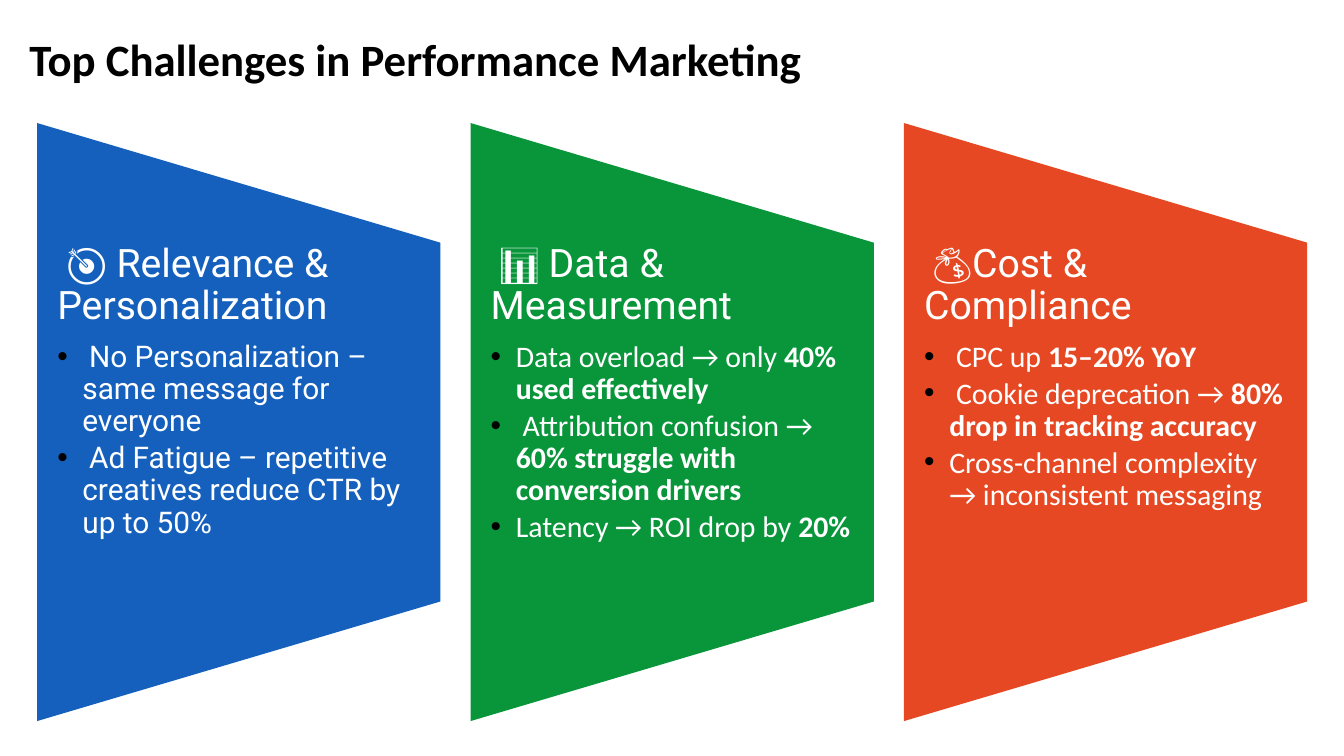
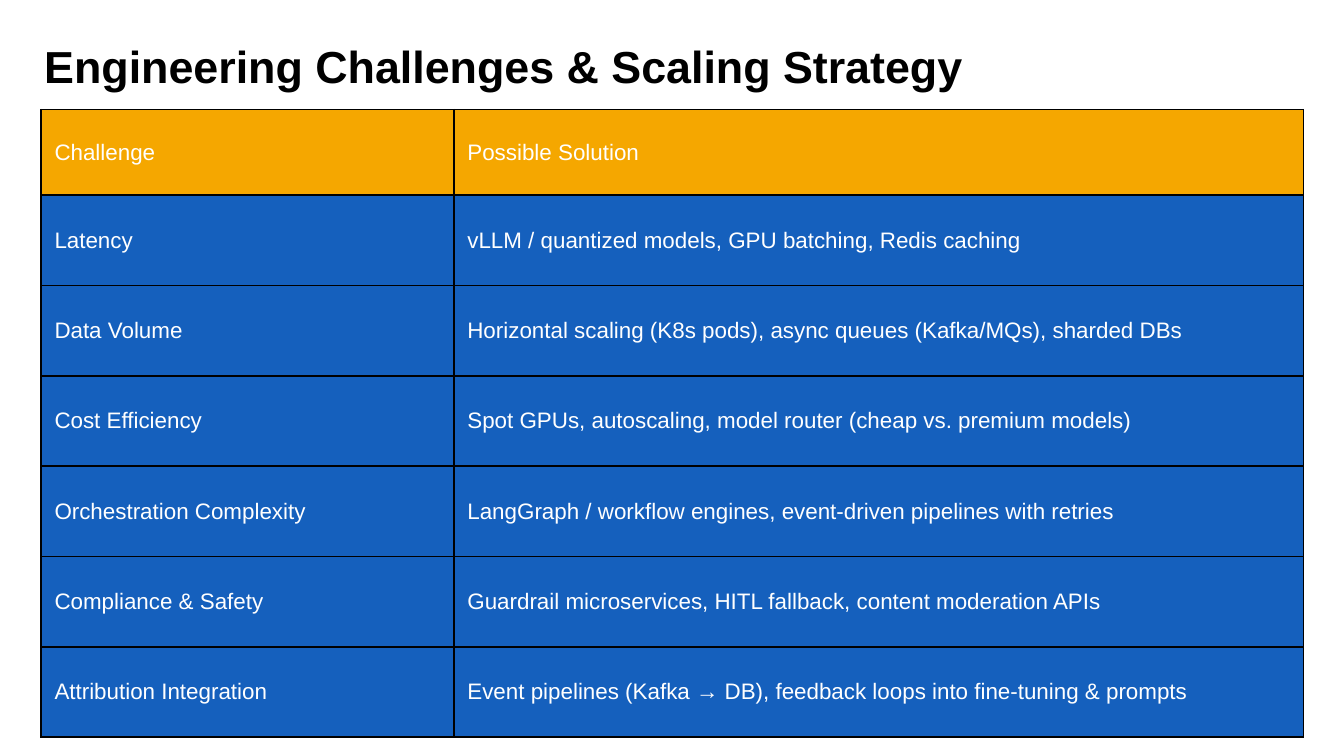
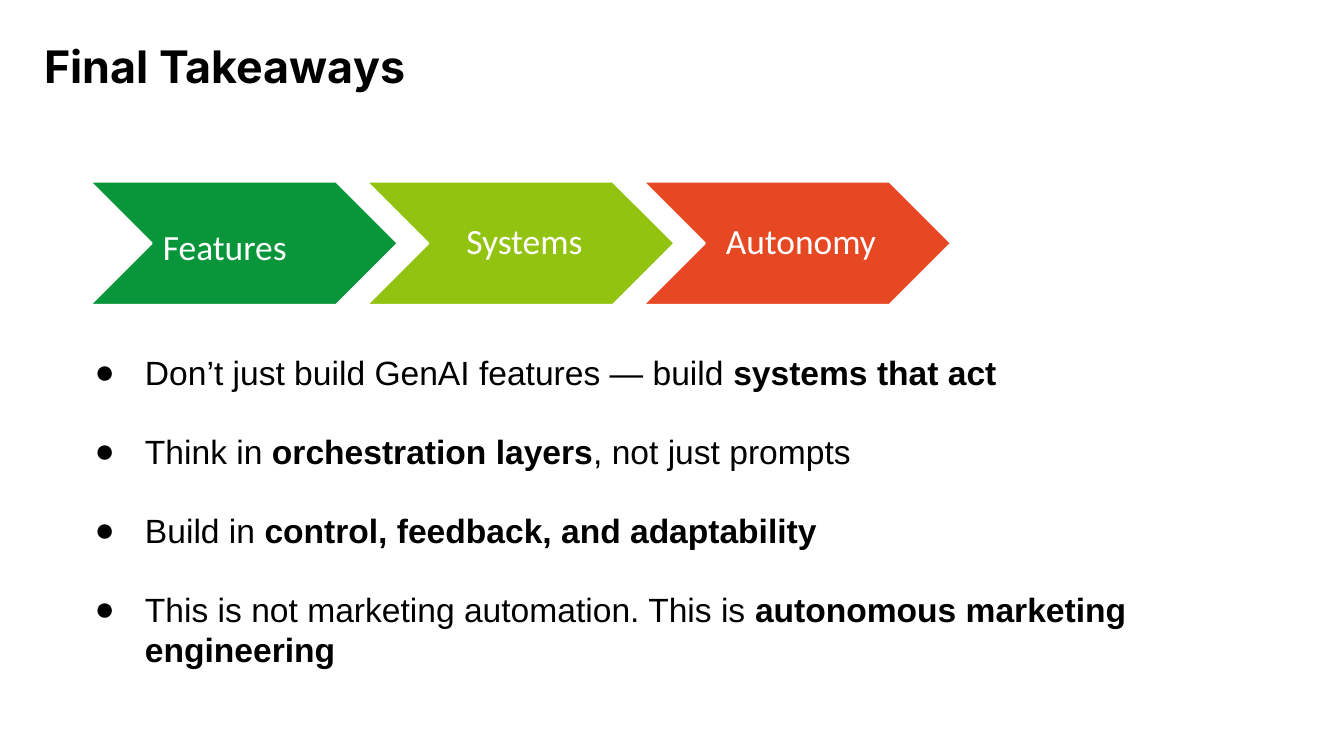
from pptx import Presentation
from pptx.util import Pt
from pptx.dml.color import RGBColor
from pptx.enum.shapes import MSO_SHAPE
from pptx.enum.text import MSO_ANCHOR, PP_ALIGN
from lxml.etree import SubElement
from pptx.oxml.ns import qn

hues = {
    "blue": "1560BD", "green": "09963B", "red": "E64823",
    "lime": "93C311", "gold": "F5A700", "white": "FFFFFF", "black": "000000",
}
tone = {name: RGBColor.from_string(code) for name, code in hues.items()}
bold = {"bold": True}
sides = ("margin_left", "margin_top", "margin_right", "margin_bottom")


def box(slide, rect, pads, anchor=MSO_ANCHOR.TOP):
    frame = slide.shapes.add_textbox(*map(Pt, rect)).text_frame
    frame.word_wrap = True
    frame.vertical_anchor = anchor
    for side, pad in zip(sides, pads):
        setattr(frame, side, Pt(pad))
    return frame


def fill(para, bits, look, hue, form={}, mark=None):
    if mark:
        sign, left, hang = mark
        props = para._p.get_or_add_pPr()
        props.set("marL", str(Pt(left)))
        props.set("indent", str(Pt(-hang)))
        tint = SubElement(props, qn("a:buClr"))
        SubElement(tint, qn("a:srgbClr"), val=hues["black"])
        SubElement(props, qn("a:buFont"), typeface="Arial")
        SubElement(props, qn("a:buChar"), char=sign)
    for key, value in form.items():
        setattr(para, key, value)
    for words, extra in bits:
        run = para.add_run()
        run.text = words
        for key, value in {**look, **extra}.items():
            setattr(run.font, key, value)
        run.font.color.rgb = tone[hue]


deck = Presentation()
deck.slide_width, deck.slide_height = Pt(720), Pt(405)

heads = [
    ("Top Challenges in Performance Marketing", "Calibri", (8.6, 13, 671, 45), 0.9),
    ("Engineering Challenges & Scaling Strategy", "Arial", (16.6, 13.7, 545, 73), 1.0),
    ("Final Takeaways", "Inter", (16.6, 13.7, 545, 101), 1.0),
]
pages = []
for words, face, rect, lead in heads:
    page = deck.slides.add_slide(deck.slide_layouts[6])
    frame = box(page, rect, [7.2] * 4)
    look = {"name": face, "size": Pt(24), "bold": True}
    fill(frame.paragraphs[0], [(words, {})], look, "black", {"line_spacing": lead})
    pages.append(page)
first, second, third = pages

sans = {"name": "Roboto"}
panels = [
    ("blue", [(" 🎯 Relevance & Personalization", sans)], [
        [(" ", {}), ("No Personalization – same message for everyone", sans)],
        [(" ", {}), ("Ad Fatigue – repetitive creatives reduce CTR by up to 50%", sans)],
    ]),
    ("green", [(" ", {}), ("📊 Data & Measurement", sans)], [
        [("Data overload → only ", {}), ("40% used effectively", bold)],
        [(" Attribution confusion → ", {}), ("60% struggle with conversion drivers", bold)],
        [("Latency → ROI drop by ", {}), ("20%", bold)],
    ]),
    ("red", [(" ", {}), ("💰Cost & Compliance", sans)], [
        [(" CPC up ", {}), ("15–20% YoY", bold)],
        [(" Cookie deprecation → ", {}), ("80% drop in tracking accuracy", bold)],
        [("Cross-channel complexity → inconsistent messaging", {})],
    ]),
]
wide, tall, step = 216, 320.4, 232.2
for spot, (hue, head, points) in enumerate(panels):
    left = 19.9 + spot * step
    shape = first.shapes.add_shape(
        MSO_SHAPE.FLOWCHART_MANUAL_OPERATION,
        Pt(left - (tall - wide) / 2), Pt(118.1), Pt(tall), Pt(wide))
    shape.rotation = 270
    shape.shadow.inherit = False
    shape.fill.solid()
    shape.fill.fore_color.rgb = tone[hue]
    shape.line.fill.background()
    frame = box(first, (left, 130.3, wide, 192.2), (10.8, 0, 10.8, 0))
    fill(frame.paragraphs[0], head, {"name": "Calibri", "size": Pt(21)}, "white",
         {"line_spacing": 0.9, "space_after": Pt(7.4)})
    for bits in points:
        fill(frame.add_paragraph(), bits, {"name": "Calibri", "size": Pt(16)}, "white",
             {"line_spacing": 0.9, "space_after": Pt(2.4)}, ("•", 13.5, 13.5))

rows = [
    ("Challenge", "Possible Solution"),
    ("Latency", "vLLM / quantized models, GPU batching, Redis caching"),
    ("Data Volume", "Horizontal scaling (K8s pods), async queues (Kafka/MQs), sharded DBs"),
    ("Cost Efficiency", "Spot GPUs, autoscaling, model router (cheap vs. premium models)"),
    ("Orchestration Complexity", "LangGraph / workflow engines, event-driven pipelines with retries"),
    ("Compliance & Safety", "Guardrail microservices, HITL fallback, content moderation APIs"),
    ("Attribution Integration", "Event pipelines (Kafka → DB), feedback loops into fine-tuning & prompts"),
]
grid = second.shapes.add_table(
    len(rows), 2, Pt(22), Pt(58.7), Pt(676.4), Pt(336.3)).table
for col, width in zip(grid.columns, (221.2, 455.2)):
    col.width = Pt(width)
for down, row in enumerate(rows):
    grid.rows[down].height = Pt(48.4 if down else 45.9)
    for across, words in enumerate(row):
        cell = grid.cell(down, across)
        cell.vertical_anchor = MSO_ANCHOR.MIDDLE
        look = {"name": "Arial", "size": Pt(12), "bold": False}
        fill(cell.text_frame.paragraphs[0], [(words, {})], look, "white")
        props = cell._tc.get_or_add_tcPr()
        for edge in ("a:lnL", "a:lnR", "a:lnT", "a:lnB"):
            line = SubElement(props, qn(edge), w=str(Pt(1)))
            paint = SubElement(line, qn("a:solidFill"))
            SubElement(paint, qn("a:srgbClr"), val=hues["black"])
        cell.fill.solid()
        cell.fill.fore_color.rgb = tone["blue" if down else "gold"]

steps = [
    ("Features", "green", PP_ALIGN.LEFT, 1.15),
    ("Systems", "lime", PP_ALIGN.CENTER, 0.9),
    ("Autonomy", "red", PP_ALIGN.CENTER, 0.9),
]
for spot, (words, hue, align, lead) in enumerate(steps):
    left = 48.4 + spot * 148.2
    shape = third.shapes.add_shape(
        MSO_SHAPE.CHEVRON, Pt(left), Pt(97.4), Pt(164.7), Pt(65.9))
    shape.shadow.inherit = False
    shape.fill.solid()
    shape.fill.fore_color.rgb = tone[hue]
    shape.line.color.rgb = tone["white"]
    shape.line.width = Pt(1)
    frame = box(third, (left + 32.9, 97.4, 98.8, 65.9), (6, 2, 2, 2), MSO_ANCHOR.MIDDLE)
    fill(frame.paragraphs[0], [(words, {})], {"name": "Calibri", "size": Pt(19)}, "white",
         {"alignment": align, "line_spacing": lead, "space_after": Pt(6.6)})

points = [
    [("Don’t just build GenAI features — build ", {}), ("systems that act", bold)],
    [("Think in ", {}), ("orchestration layers", bold), (", not just prompts", {})],
    [("Build in ", {}), ("control, feedback, and adaptability", bold)],
    [("This is not marketing automation. This is ", {}),
     ("autonomous marketing engineering", bold)],
]
frame = box(third, (34.6, 185, 624.2, 198.7), (7.2, 3.6, 7.2, 3.6))
for spot, bits in enumerate(points):
    para = frame.add_paragraph() if spot else frame.paragraphs[0]
    fill(para, bits, {"name": "Arial", "size": Pt(18)}, "black",
         {"space_after": Pt(20.7)}, ("●", 36, 27))

deck.save("out.pptx")
